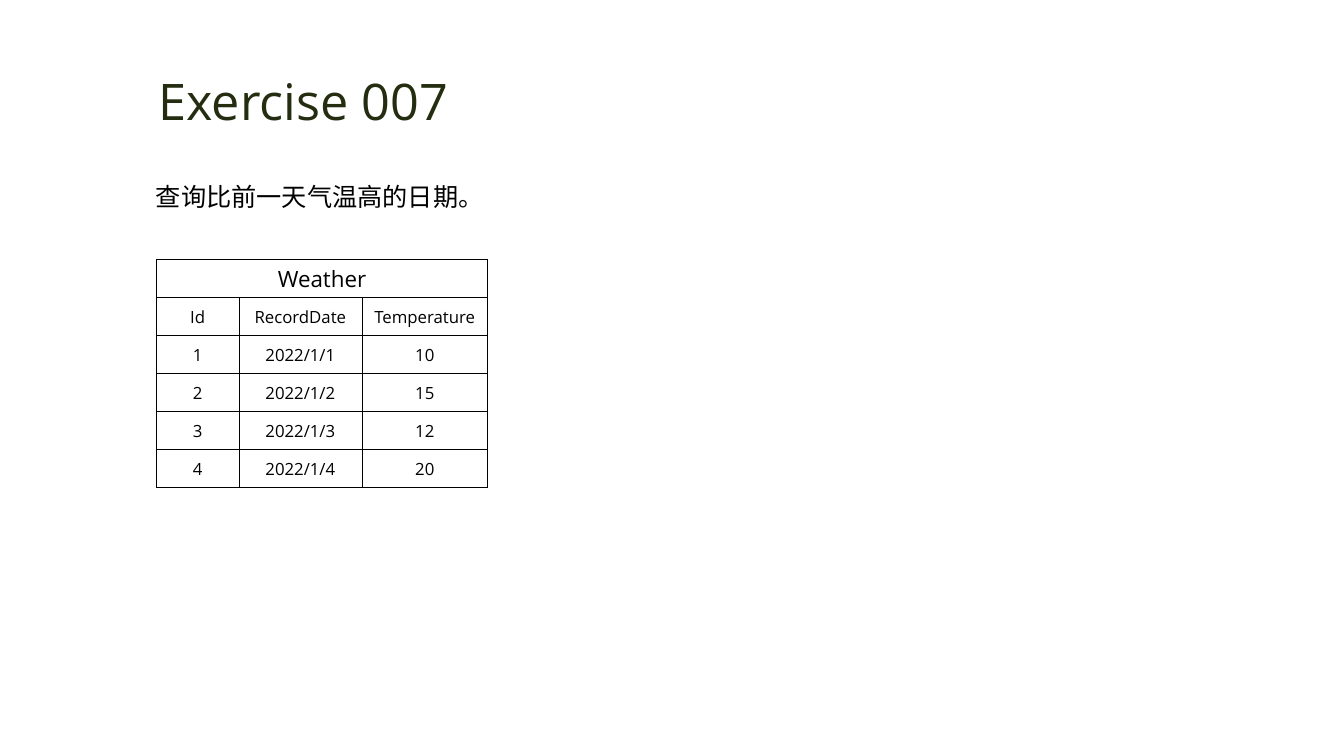
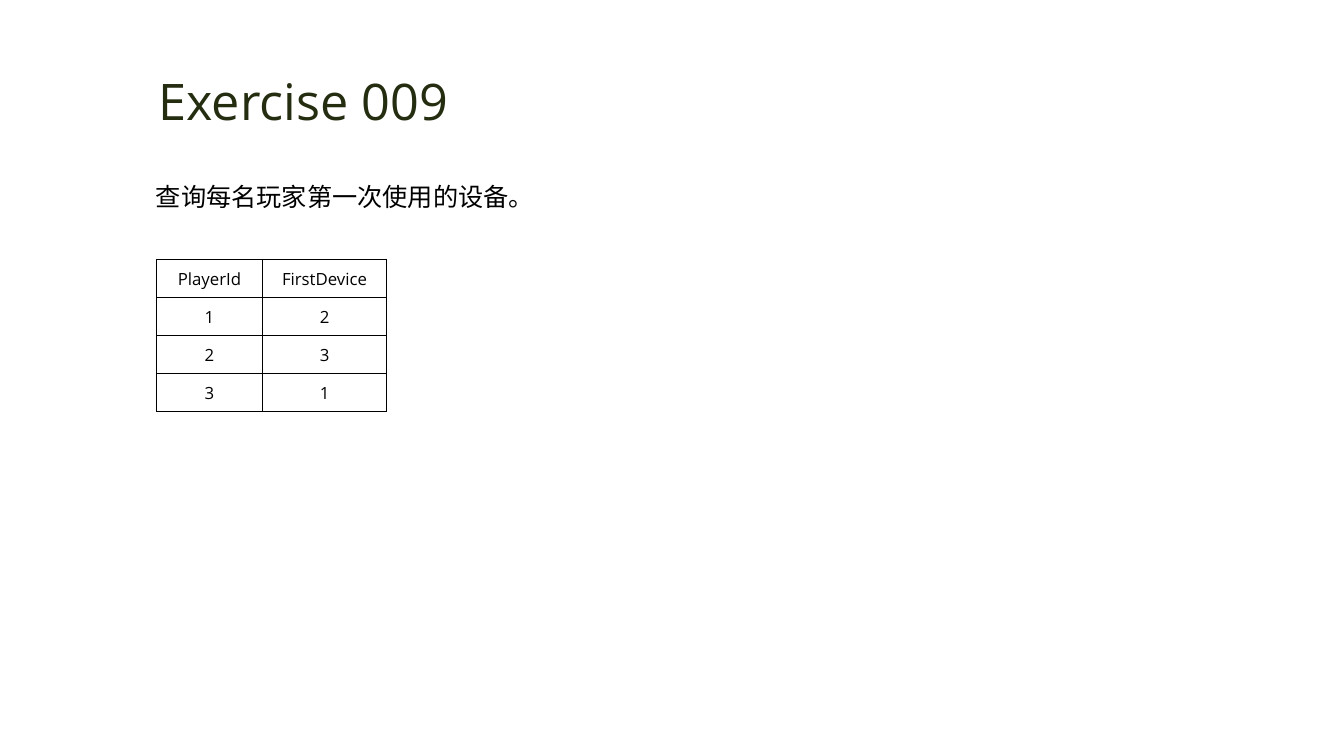
"""Build two SQL exercise slides, each with a title, a task and a table."""
from dataclasses import dataclass

from lxml import etree
from pptx import Presentation
from pptx.dml.color import RGBColor
from pptx.enum.text import MSO_ANCHOR, MSO_AUTO_SIZE, PP_ALIGN
from pptx.oxml.ns import qn
from pptx.presentation import Presentation as Deck
from pptx.slide import Slide
from pptx.table import _Cell
from pptx.text.text import TextFrame
from pptx.util import Cm, Pt

LEFT, CENTER = PP_ALIGN.LEFT, PP_ALIGN.CENTER
MIDDLE = MSO_ANCHOR.MIDDLE
FIT_SHAPE = MSO_AUTO_SIZE.SHAPE_TO_FIT_TEXT
FONT = "Open Sans"
TITLE_COLOR, BLACK = "242D10", "000000"
BLANK_LAYOUT = 6
TABLE_LEFT, TABLE_TOP, ROW_HEIGHT = 3.94, 6.53, 0.96
CELL_INSET = 0.03
BORDER_SIDES = ("a:lnL", "a:lnR", "a:lnT", "a:lnB")


@dataclass(frozen=True)
class Box:
    """Position and size in centimetres."""
    left: float
    top: float
    width: float
    height: float


@dataclass(frozen=True)
class Exercise:
    """Content of one exercise slide."""
    title: str
    task: str
    column_widths: tuple[float, ...]
    rows: tuple[tuple[str, ...], ...]
    caption: str = ""


TITLE_BOX = Box(3.53, 1.63, 8.23, 1.8)
TASK_BOX = Box(3.68, 4.06, 13.28, 1.3)
EXERCISES = (
    Exercise(
        "Exercise 007",
        "查询比前一天气温高的日期。",
        (2.08, 3.1, 3.17),
        (
            ("Id", "RecordDate", "Temperature"),
            ("1", "2022/1/1", "10"),
            ("2", "2022/1/2", "15"),
            ("3", "2022/1/3", "12"),
            ("4", "2022/1/4", "20"),
        ),
        caption="Weather",
    ),
    Exercise(
        "Exercise 009",
        "查询每名玩家第一次使用的设备。",
        (2.68, 3.12),
        (("PlayerId", "FirstDevice"), ("1", "2"), ("2", "3"), ("3", "1")),
    ),
)


def color(value: str) -> RGBColor:
    """Turn a hex string into a colour."""
    return RGBColor.from_string(value)


def write_text(frame: TextFrame, text: str, *, size: float, fill: str = BLACK,
               align: PP_ALIGN = CENTER, spacing: float = 1.0) -> None:
    """Write one formatted paragraph into a text frame."""
    paragraph = frame.paragraphs[0]
    paragraph.alignment = align
    paragraph.line_spacing = spacing
    run = paragraph.add_run()
    run.text = text
    run.font.size = Pt(size)
    run.font.color.rgb = color(fill)
    run.font.name = FONT
    properties = run._r.get_or_add_rPr()
    etree.SubElement(properties, qn("a:ea"), typeface=FONT)


def add_text_box(slide: Slide, box: Box, wrap: bool) -> TextFrame:
    """Add an empty text box that grows with its text."""
    shape = slide.shapes.add_textbox(
        Cm(box.left), Cm(box.top), Cm(box.width), Cm(box.height))
    frame = shape.text_frame
    frame.word_wrap = wrap
    frame.auto_size = FIT_SHAPE
    return frame


def style_cell(cell: _Cell) -> None:
    """Give a cell thin black borders, small insets and no fill."""
    properties = cell._tc.get_or_add_tcPr()
    for side in BORDER_SIDES:
        line = etree.SubElement(properties, qn(side), w=str(Pt(0.5)))
        solid = etree.SubElement(line, qn("a:solidFill"))
        etree.SubElement(solid, qn("a:srgbClr"), val=BLACK)
    cell.fill.background()
    cell.vertical_anchor = MIDDLE
    cell.margin_left = cell.margin_right = cell.margin_top = Cm(CELL_INSET)
    cell.margin_bottom = 0


def add_data_table(slide: Slide, exercise: Exercise) -> None:
    """Add the table, under a merged caption row if there is a caption."""
    first_row = 1 if exercise.caption else 0
    row_count = len(exercise.rows) + first_row
    column_count = len(exercise.column_widths)
    table = slide.shapes.add_table(
        row_count, column_count, Cm(TABLE_LEFT), Cm(TABLE_TOP),
        Cm(sum(exercise.column_widths)), Cm(ROW_HEIGHT * row_count)).table
    table.first_row = table.horz_banding = False
    for column, width in zip(table.columns, exercise.column_widths):
        column.width = Cm(width)
    for row in table.rows:
        row.height = Cm(ROW_HEIGHT)
    for cell in table.iter_cells():
        style_cell(cell)
    if exercise.caption:
        caption_cell = table.cell(0, 0)
        caption_cell.merge(table.cell(0, column_count - 1))
        write_text(caption_cell.text_frame, exercise.caption, size=16)
    for row_index, values in enumerate(exercise.rows, start=first_row):
        for column_index, value in enumerate(values):
            cell = table.cell(row_index, column_index)
            write_text(cell.text_frame, value, size=12)


def add_exercise_slide(presentation: Deck, exercise: Exercise) -> None:
    """Add one slide with title, table and task."""
    slide = presentation.slides.add_slide(
        presentation.slide_layouts[BLANK_LAYOUT])
    write_text(add_text_box(slide, TITLE_BOX, wrap=False), exercise.title,
               size=36, fill=TITLE_COLOR)
    add_data_table(slide, exercise)
    write_text(add_text_box(slide, TASK_BOX, wrap=True), exercise.task,
               size=18, align=LEFT, spacing=1.5)


def main() -> None:
    """Build and save the presentation."""
    presentation = Presentation()
    presentation.slide_width, presentation.slide_height = Cm(33.87), Cm(19.05)
    for exercise in EXERCISES:
        add_exercise_slide(presentation, exercise)
    presentation.save("out.pptx")


if __name__ == "__main__":
    main()
